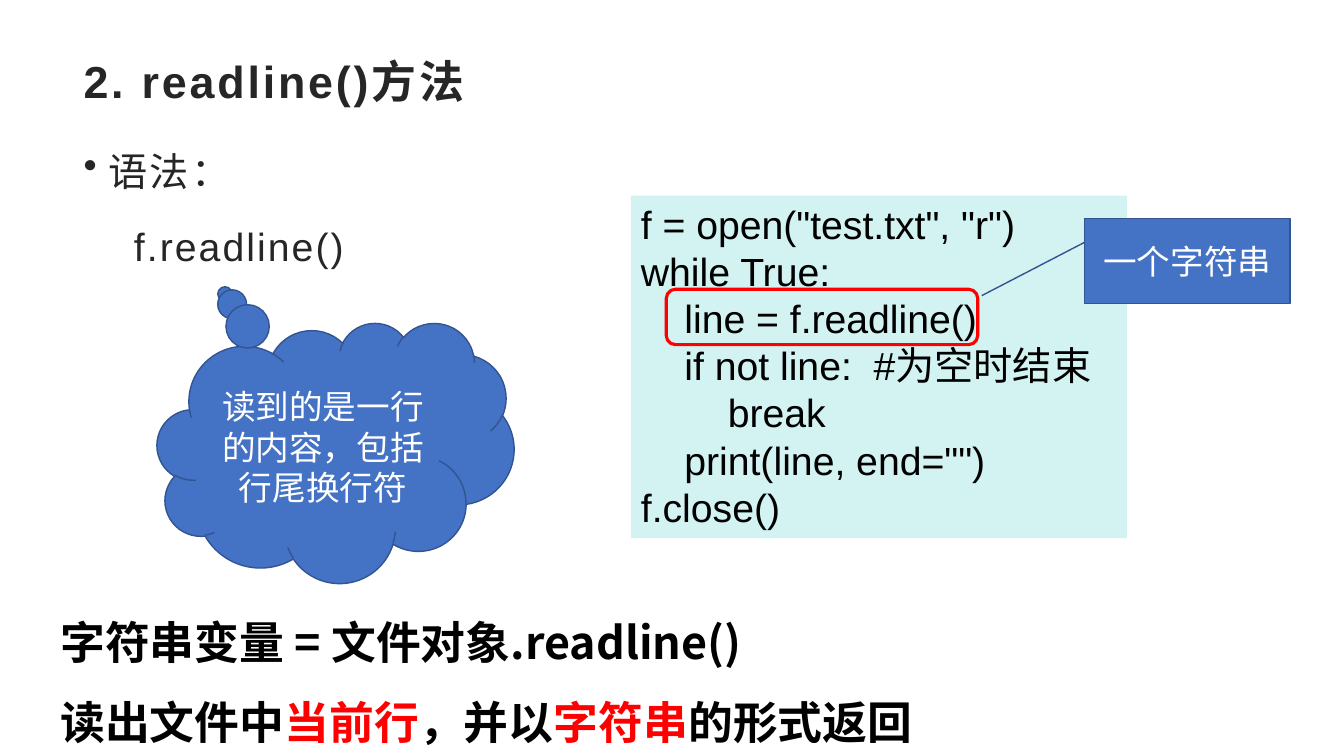
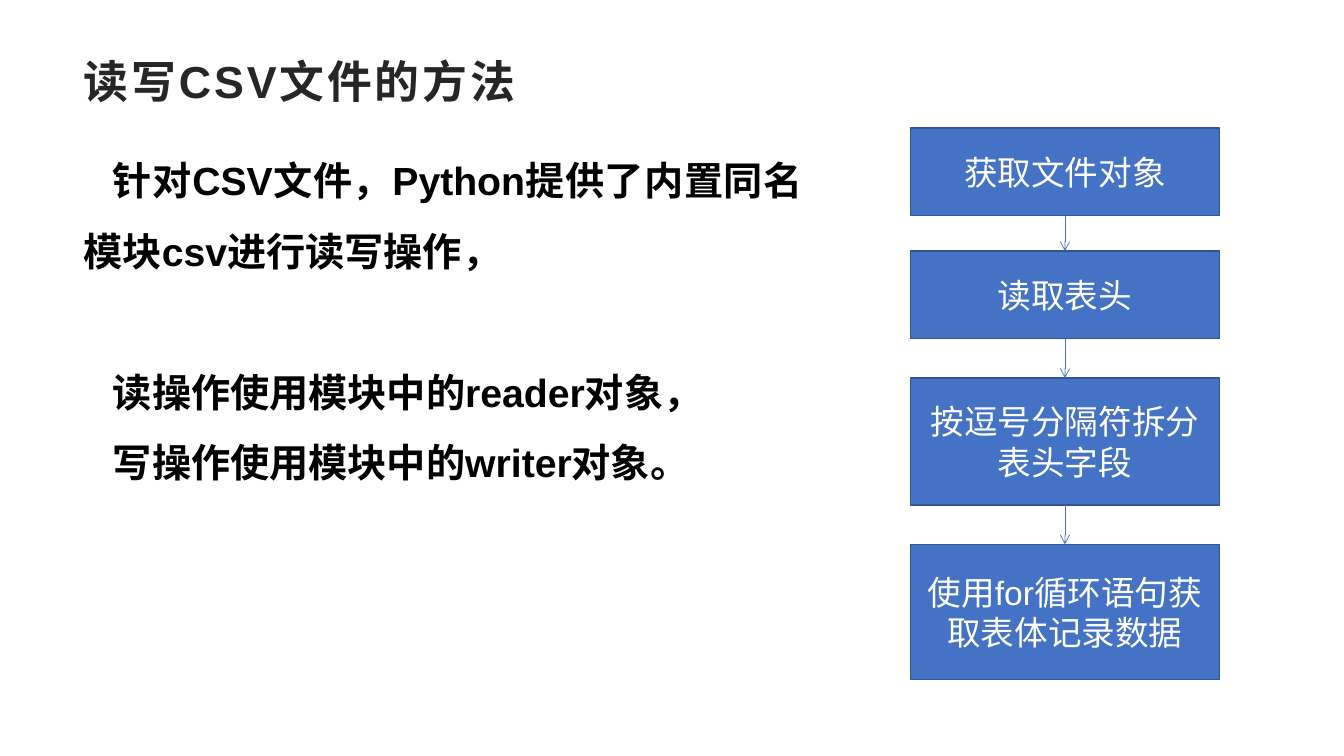
"""Build two slides about reading lines and CSV files in Python."""
from dataclasses import dataclass
from typing import Optional

import lxml.etree
import pptx
import pptx.dml.color
import pptx.enum.shapes
import pptx.enum.text
import pptx.oxml.ns
import pptx.util

Pt = pptx.util.Pt
Shape = pptx.enum.shapes.MSO_SHAPE
Align = pptx.enum.text.PP_ALIGN
Anchor = pptx.enum.text.MSO_ANCHOR
qn = pptx.oxml.ns.qn

COLORS = {
    "title": "262626",
    "text": "000000",
    "accent": "4472C4",
    "outline": "325491",
    "code": "D3F2F2",
    "alert": "FF0000",
    "white": "FFFFFF",
}
LATIN = "Arial"
CJK = "Noto Sans CJK SC"
LEFT = 52.6


@dataclass(frozen=True)
class Frame:
    left: float
    top: float
    width: float
    height: float

    def lengths(self) -> tuple:
        return Pt(self.left), Pt(self.top), Pt(self.width), Pt(self.height)


@dataclass(frozen=True)
class Style:
    size: float
    color: str = "text"
    font: str = LATIN
    bold: bool = False
    tracking: float = 0
    align: Align = Align.LEFT
    spacing: float = 1
    after: float = 0


@dataclass(frozen=True)
class Span:
    text: str
    color: Optional[str] = None


@dataclass(frozen=True)
class Para:
    spans: tuple
    style: Style
    margin: float = 0
    indent: float = 0
    before: float = 0
    bullet: str = ""


@dataclass(frozen=True)
class Look:
    kind: Shape
    fill: Optional[str] = None
    line: Optional[str] = None
    weight: float = 1
    adjustments: tuple = ()


@dataclass(frozen=True)
class Step:
    text: str
    top: float
    height: float


TITLE = Style(32, "title", bold=True, tracking=2)
BODY = Style(28, "title", tracking=1.5, spacing=1.3, after=10)
LABEL = Style(24, "white", align=Align.CENTER)
CODE = Style(28)
SUMMARY = Style(32, bold=True, align=Align.JUSTIFY, spacing=1.5)
SUMMARY_CJK = Style(32, font=CJK, bold=True, align=Align.JUSTIFY, spacing=1.5)
PROSE = Style(28, bold=True, align=Align.JUSTIFY, spacing=1.5)

TITLE_FRAME = Frame(LEFT, 34.6, 854.6, 56.2)
STEP_LOOK = Look(Shape.RECTANGLE, "accent", "outline")
CLOUD_LOOK = Look(Shape.CLOUD_CALLOUT, "accent", "outline", adjustments=(-0.31, -0.61))
CALLOUT_LOOK = Look(Shape.LINE_CALLOUT_1, "accent", "outline", adjustments=(0.28, 0, 0.91, -0.5))
CODE_LOOK = Look(Shape.RECTANGLE, "code")
RING_LOOK = Look(Shape.ROUNDED_RECTANGLE, line="alert", weight=2.25)

CODE_LINES = (
    'f = open("test.txt", "r")',
    "while True:",
    "    line = f.readline()",
    "    if not line:  #为空时结束",
    "        break",
    '    print(line, end="")',
    "f.close()",
)
STEPS = (
    Step("获取文件对象", 91.4, 62.6),
    Step("读取表头", 179.3, 62.6),
    Step("按逗号分隔符拆分表头字段", 270, 90.7),
    Step("使用for循环语句获取表体记录数据", 388.8, 96.5),
)


def rgb(name: str) -> pptx.dml.color.RGBColor:
    return pptx.dml.color.RGBColor.from_string(COLORS[name])


def plain(text: str, style: Style, **layout) -> Para:
    return Para((Span(text),), style, **layout)


def write_para(paragraph, para: Para) -> None:
    style = para.style
    for part in para.spans:
        span = paragraph.add_run()
        span.text = part.text
        if part.color:
            span.font.color.rgb = rgb(part.color)
        if style.tracking:
            span.font.language_id = None
            span._r.get_or_add_rPr().set("spc", str(round(style.tracking * 100)))
    paragraph.alignment = style.align
    paragraph.line_spacing = style.spacing
    paragraph.space_after = Pt(style.after)
    if para.before:
        paragraph.space_before = Pt(para.before)
    properties = paragraph._p.get_or_add_pPr()
    properties.set("marL", str(Pt(para.margin)))
    properties.set("indent", str(Pt(para.indent)))
    if para.bullet:
        lxml.etree.SubElement(properties, qn("a:buChar")).set("char", para.bullet)
    font = paragraph.font
    font.name = style.font
    font.size = Pt(style.size)
    font.bold = style.bold
    font.color.rgb = rgb(style.color)


def write_text(box, paras: tuple, anchor: Anchor = Anchor.TOP) -> None:
    frame = box.text_frame
    frame.word_wrap = True
    frame.vertical_anchor = anchor
    for index, para in enumerate(paras):
        write_para(frame.add_paragraph() if index else frame.paragraphs[0], para)


def add_text(page, frame: Frame, *paras: Para) -> None:
    write_text(page.shapes.add_textbox(*frame.lengths()), paras)


def add_box(page, frame: Frame, look: Look, *paras: Para, anchor: Anchor = Anchor.MIDDLE):
    box = page.shapes.add_shape(look.kind, *frame.lengths())
    box.shadow.inherit = False
    for index, value in enumerate(look.adjustments):
        box.adjustments[index] = value
    if look.fill:
        box.fill.solid()
        box.fill.fore_color.rgb = rgb(look.fill)
    else:
        box.fill.background()
    if look.line:
        box.line.color.rgb = rgb(look.line)
        box.line.width = Pt(look.weight)
    else:
        box.line.fill.background()
    write_text(box, paras, anchor)
    return box


def add_arrow(page, upper, lower) -> None:
    arrow = page.shapes.add_connector(pptx.enum.shapes.MSO_CONNECTOR.STRAIGHT, 0, 0, 0, 0)
    arrow.begin_connect(upper, 2)
    arrow.end_connect(lower, 0)
    arrow.line.color.rgb = rgb("accent")
    arrow.line.width = Pt(0.5)
    lxml.etree.SubElement(arrow.line._get_or_add_ln(), qn("a:tailEnd")).set("type", "arrow")
    lxml.etree.SubElement(arrow._element.spPr, qn("a:effectLst"))


def add_page(deck, title: str):
    page = deck.slides.add_slide(deck.slide_layouts[6])
    add_text(page, TITLE_FRAME, plain(title, TITLE))
    return page


def build_readline(deck) -> None:
    page = add_page(deck, "2. readline()方法")
    add_text(
        page,
        Frame(LEFT, 91.4, 854.6, 408),
        plain("语法：", BODY, margin=18, indent=-18, bullet="•"),
        plain("f.readline()", BODY, margin=36),
    )
    add_box(page, Frame(112.3, 230.4, 254.9, 185.8), CLOUD_LOOK,
            plain("读到的是一行的内容，包括行尾换行符", LABEL))
    add_box(page, Frame(450.7, 139.7, 354.2, 244.8), CODE_LOOK,
            *(plain(line, CODE) for line in CODE_LINES), anchor=Anchor.TOP)
    add_box(page, Frame(475.9, 206.6, 222.5, 39.6), RING_LOOK)
    add_box(page, Frame(774.7, 156.2, 146.9, 60.5), CALLOUT_LOOK, plain("一个字符串", LABEL))
    result = (
        Span("读出文件中"),
        Span("当前行", "alert"),
        Span("，并以"),
        Span("字符串", "alert"),
        Span("的形式返回"),
    )
    add_text(
        page,
        Frame(0, 416.2, 720, 123.8),
        plain("字符串变量 = 文件对象.readline()", SUMMARY_CJK, margin=36),
        Para(result, SUMMARY, margin=36),
    )


def build_csv(deck) -> None:
    page = add_page(deck, "读写CSV文件的方法")
    add_text(
        page,
        Frame(LEFT, 91.4, 527.8, 312.5),
        plain("针对CSV文件，Python提供了内置同名模块csv进行读写操作，", PROSE, indent=21),
        plain("读操作使用模块中的reader对象，", PROSE, indent=21, before=50.4),
        plain("写操作使用模块中的writer对象。", PROSE, indent=21),
    )
    boxes = [
        add_box(page, Frame(650.2, step.top, 221, step.height), STEP_LOOK, plain(step.text, LABEL))
        for step in STEPS
    ]
    for upper, lower in zip(boxes, boxes[1:]):
        add_arrow(page, upper, lower)


def main() -> None:
    deck = pptx.Presentation()
    deck.slide_width = Pt(960)
    deck.slide_height = Pt(540)
    build_readline(deck)
    build_csv(deck)
    deck.save("out.pptx")


if __name__ == "__main__":
    main()
